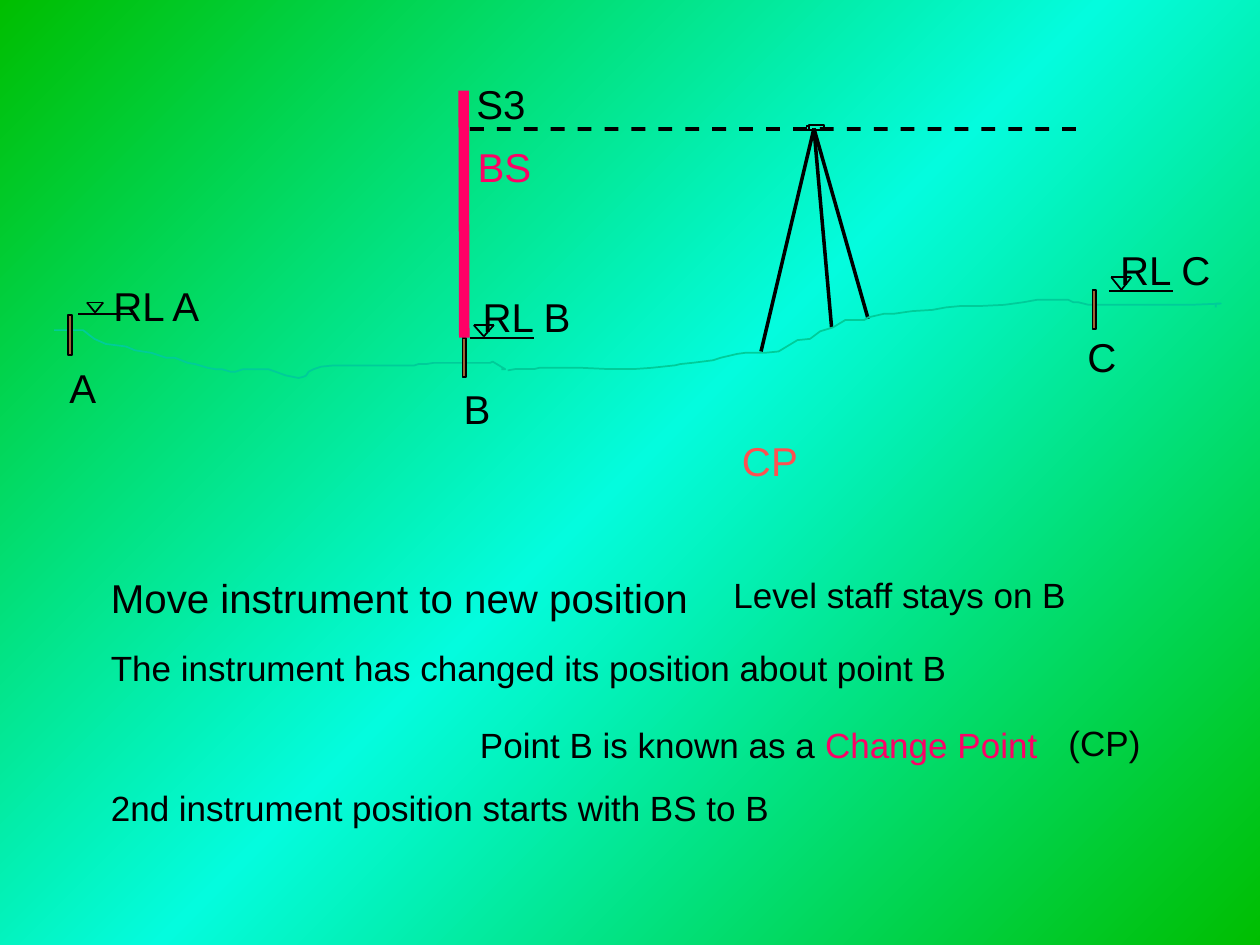
from copy import deepcopy

from lxml.etree import SubElement
from pptx import Presentation
from pptx.dml.color import RGBColor
from pptx.enum.shapes import MSO_CONNECTOR as Connector, MSO_SHAPE as Shape
from pptx.enum.text import MSO_AUTO_SIZE as AutoSize
from pptx.oxml.ns import qn
from pptx.util import Inches, Pt

BLACK, PINK, CORAL = "000000", "FF0066", "FF5050"
GROUND, PEG = "00CC99", "996633"
GREEN, CYAN = "00BE00", "04FCDE"

GROUND_A_TO_B = [
    (0.43, 2.62), (0.66, 2.62), (0.71, 2.66), (0.75, 2.69), (0.84, 2.73),
    (0.92, 2.74), (1, 2.75), (1.07, 2.78), (1.2, 2.8), (1.32, 2.84),
    (1.39, 2.84), (1.49, 2.88), (1.55, 2.89), (1.65, 2.92), (1.71, 2.93),
    (1.76, 2.93), (1.83, 2.95), (1.87, 2.95), (1.93, 2.93), (2.13, 2.93),
    (2.27, 2.98), (2.37, 3), (2.41, 2.99), (2.43, 2.98), (2.45, 2.95),
    (2.49, 2.93), (2.55, 2.91), (2.65, 2.9), (3.29, 2.9), (3.32, 2.89),
    (3.38, 2.89), (3.44, 2.88), (3.89, 2.88), (3.91, 2.87), (4.01, 2.93),
    (3.98, 2.93),
]
GROUND_B_TO_C = [
    (4.03, 2.94), (4.09, 2.93), (4.24, 2.93), (4.28, 2.92), (4.62, 2.92),
    (4.83, 2.93), (5.03, 2.93), (5.17, 2.92), (5.36, 2.9), (5.4, 2.89),
    (5.5, 2.88), (5.66, 2.86), (5.72, 2.84), (5.85, 2.81), (5.92, 2.8),
    (6.08, 2.8), (6.18, 2.79), (6.28, 2.73), (6.33, 2.7), (6.43, 2.69),
    (6.51, 2.63), (6.61, 2.6), (6.71, 2.54), (6.86, 2.54), (6.89, 2.52),
    (7.02, 2.49), (7.1, 2.49), (7.24, 2.47), (7.4, 2.46), (7.51, 2.44),
    (7.62, 2.43), (7.77, 2.43), (7.97, 2.42), (8.12, 2.4), (8.23, 2.38),
    (8.48, 2.38), (8.52, 2.4), (8.56, 2.4), (8.64, 2.42), (9.45, 2.42),
    (9.69, 2.41), (9.65, 2.41), (9.65, 2.44),
]


def rgb(color):
    return RGBColor.from_string(color)


def paint_background(slide):
    fill = slide.background.fill
    fill.gradient()
    fill.gradient_angle = 315
    stop_list = slide.element.find(".//" + qn("a:gsLst"))
    stop_list.insert(1, deepcopy(stop_list[0]))
    stops = zip(fill.gradient_stops, (0, 0.5, 1), (GREEN, CYAN, GREEN))
    for stop, position, color in stops:
        stop.position = position
        stop.color.rgb = rgb(color)


def add_line(slide, start, end, width=1, color=BLACK):
    points = [Inches(value) for value in (*start, *end)]
    line = slide.shapes.add_connector(Connector.STRAIGHT, *points)
    line.line.width = Pt(width)
    line.line.color.rgb = rgb(color)
    SubElement(line.element.spPr, qn("a:effectLst"))
    return line


def add_box(slide, left, top, width, height, fill=None, outlined=True):
    box = slide.shapes.add_shape(
        Shape.RECTANGLE, Inches(left), Inches(top), Inches(width), Inches(height))
    box.shadow.inherit = False
    if fill:
        box.fill.solid()
        box.fill.fore_color.rgb = rgb(fill)
    else:
        box.fill.background()
    if outlined:
        box.line.color.rgb = rgb(BLACK)
        box.line.width = Pt(1)
    else:
        box.line.fill.background()
    return box


def add_text(slide, left, top, width, height, *runs, size=23, margins=(0, 0)):
    """Add one line of text; each run is a (text, color) pair."""
    box = slide.shapes.add_textbox(
        Inches(left), Inches(top), Inches(width), Inches(height))
    frame = box.text_frame
    frame.word_wrap = False
    frame.auto_size = AutoSize.SHAPE_TO_FIT_TEXT
    frame.margin_left = frame.margin_right = Inches(margins[0])
    frame.margin_top = frame.margin_bottom = Inches(margins[1])
    for text, color in runs:
        run = frame.paragraphs[0].add_run()
        run.text = text
        run.font.name = "Arial"
        run.font.size = Pt(size)
        run.font.color.rgb = rgb(color)


def add_ground(slide, points):
    vertices = [(Inches(x), Inches(y)) for x, y in points]
    builder = slide.shapes.build_freeform(*vertices[0], scale=1)
    builder.add_line_segments(vertices[1:], close=False)
    ground = builder.convert_to_shape()
    ground.shadow.inherit = False
    ground.fill.background()
    ground.line.color.rgb = rgb(GROUND)
    ground.line.width = Pt(1)


def add_level_mark(slide, left, right, level, triangle_left, triangle_right, top):
    """Draw a level line with the reduced-level triangle standing on it."""
    tip = ((triangle_left + triangle_right) / 2, level - 0.01)
    corners = (triangle_left, top), (triangle_right, top)
    add_line(slide, (left, level), (right, level))
    add_line(slide, *corners)
    for corner in corners:
        add_line(slide, corner, tip)


def add_instrument(slide):
    for foot in ((6.04, 2.79), (6.6, 2.6), (6.89, 2.53)):
        add_line(slide, (6.46, 1.02), foot, width=2)
    add_box(slide, 6.42, 0.99, 0.12, 0.04)
    add_box(slide, 6.4, 1, 0.02, 0.03)


def add_sight_line(slide):
    first, last, count = 3.73, 8.43, 23
    pitch = (last - first) / (count - 1)
    for index in range(count):
        add_box(slide, first + index * pitch, 1.01, 0.11, 0.03, BLACK, outlined=False)


def main():
    presentation = Presentation()
    presentation.slide_width = Inches(10)
    presentation.slide_height = Inches(7.5)
    slide = presentation.slides.add_slide(presentation.slide_layouts[6])
    paint_background(slide)

    add_sight_line(slide)
    add_instrument(slide)
    add_level_mark(slide, 0.62, 1.06, 2.49, 0.69, 0.82, 2.4)
    add_level_mark(slide, 3.73, 4.24, 2.68, 3.76, 3.92, 2.58)
    add_level_mark(slide, 8.8, 9.31, 2.31, 8.82, 8.98, 2.2)
    add_ground(slide, GROUND_A_TO_B)
    add_ground(slide, GROUND_B_TO_C)

    add_box(slide, 0.54, 2.5, 0.03, 0.32, PEG)
    peg_b = add_box(slide, 3.67, 2.68, 0.03, 0.31, PEG)
    add_box(slide, 8.67, 2.3, 0.03, 0.31, PEG)
    staff = add_line(slide, (3.68, 0.72), (3.68, 2.68), width=6, color=PINK)
    staff.end_connect(peg_b, 0)

    labels = [
        ("RL A", 0.9, 2.23, 0.71, BLACK),
        ("RL B", 3.83, 2.32, 0.71, BLACK),
        ("RL C", 8.89, 1.95, 0.73, BLACK),
        ("A", 0.55, 2.88, 0.22, BLACK),
        ("B", 3.68, 3.05, 0.22, BLACK),
        ("C", 8.63, 2.64, 0.24, BLACK),
        ("S3", 3.78, 0.63, 0.42, BLACK),
        ("BS", 3.79, 1.13, 0.44, PINK),
        ("Move instrument to new position", 0.88, 4.55, 4.59, BLACK),
    ]
    for text, left, top, width, color in labels:
        add_text(slide, left, top, width, 0.38, (text, color))
    add_text(slide, 5.79, 3.41, 0.65, 0.48, ("CP", CORAL), margins=(0.1, 0.05))

    notes = [
        ("Level staff stays on B", 5.82, 4.55, 2.65),
        ("The instrument has changed its position about point B", 0.88, 5.13, 6.64),
        ("(CP)", 8.48, 5.73, 0.58),
        ("2nd instrument position starts with BS to B", 0.88, 6.24, 5.23),
    ]
    for text, left, top, width in notes:
        add_text(slide, left, top, width, 0.33, (text, BLACK), size=20)
    add_text(slide, 3.81, 5.74, 4.43, 0.33,
             ("Point B is known as a ", BLACK), ("Change Point", PINK), size=20)

    presentation.save("out.pptx")


if __name__ == "__main__":
    main()
